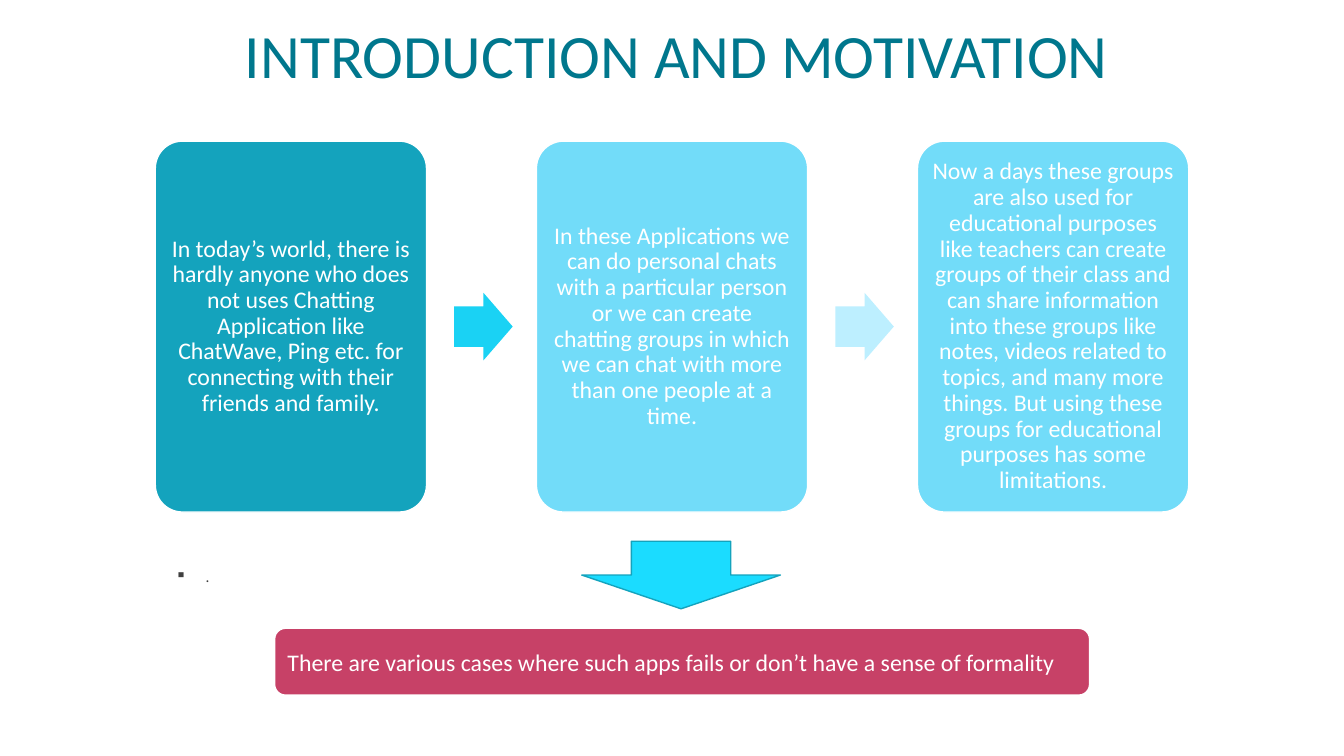
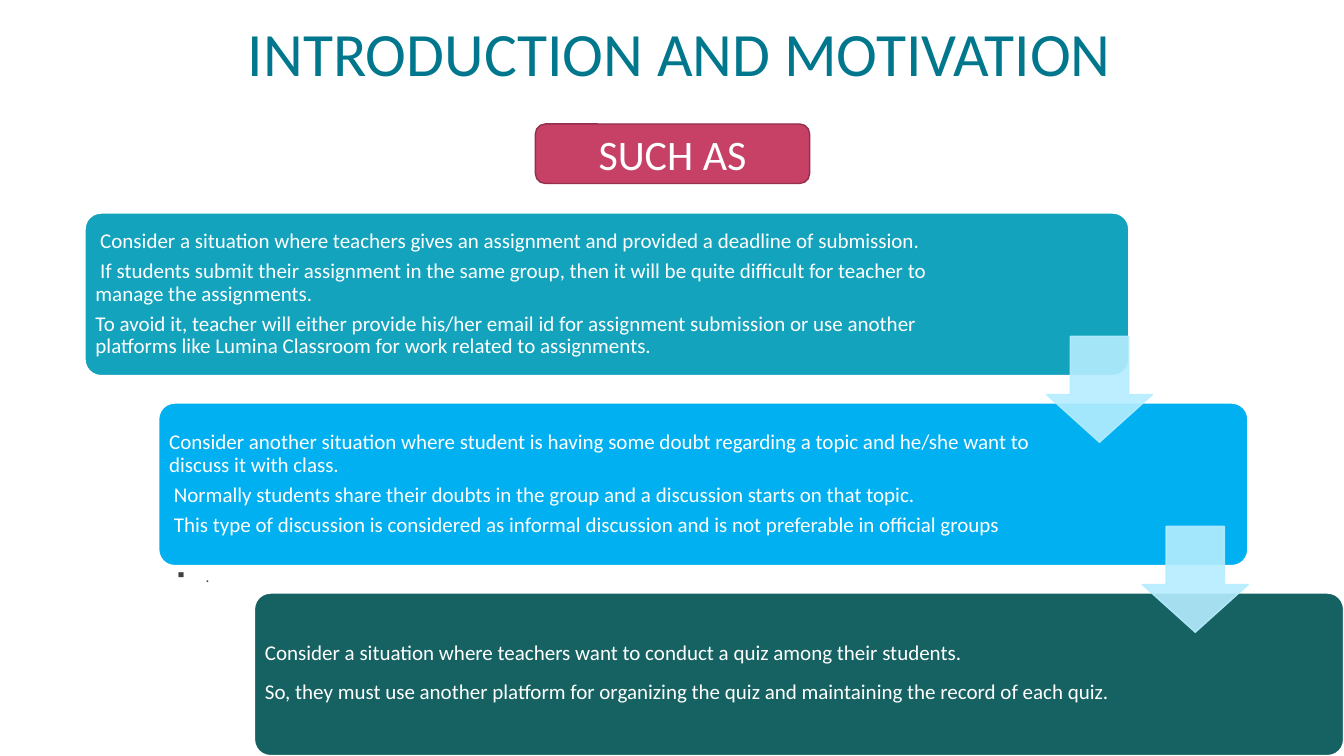
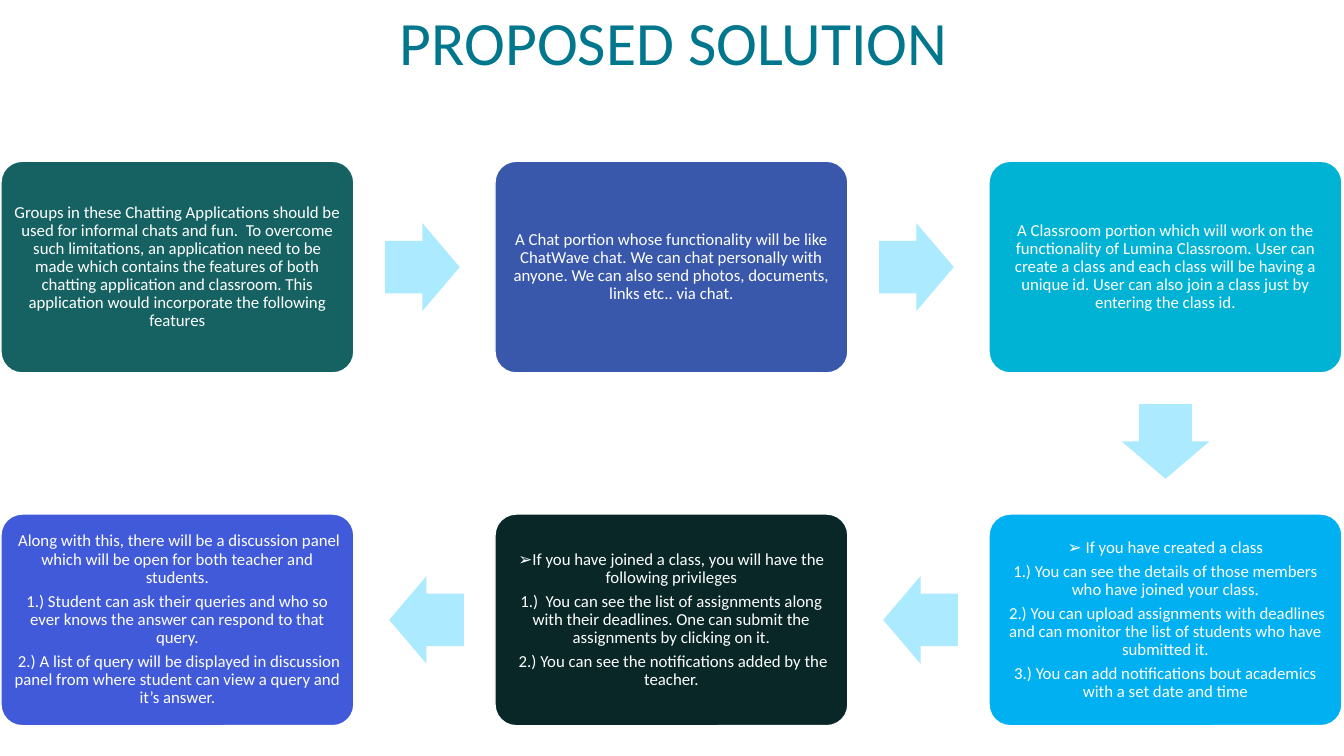
from math import atan2, degrees

from lxml import etree
from pptx import Presentation
from pptx.dml.color import RGBColor
from pptx.enum.shapes import MSO_SHAPE
from pptx.enum.text import MSO_ANCHOR, PP_ALIGN
from pptx.oxml.ns import qn
from pptx.util import Inches, Pt

ROUND = MSO_SHAPE.ROUNDED_RECTANGLE
RIGHT = MSO_SHAPE.RIGHT_ARROW
DOWN = MSO_SHAPE.DOWN_ARROW
LEFT, CENTER = PP_ALIGN.LEFT, PP_ALIGN.CENTER
MIDDLE, BOTTOM = MSO_ANCHOR.MIDDLE, MSO_ANCHOR.BOTTOM


class Theme:
    font = "Calibri"
    title, ink, white = "00778D", "404040", "FFFFFF"
    teal, pine, night = "14A3BD", "166262", "092727"
    sky, azure, sea = "72DCF9", "00B0F0", "00B3D4"
    navy, violet = "3958AC", "415AD9"
    rose, wine = "C74167", "93304C"
    cyan, aqua = "1AD2F4", "1BDCFF"
    pale, mist, ice = "BDEFFF", "B5EDFF", "ACEBFF"
    title_size, label_size, card_size = 44, 30, 17
    step_size, flow_size, dot_size, tail_size = 15, 12, 11, 23


WIDTH, HEIGHT = 13.33, 7.5
INTRO = "INTRODUCTION AND MOTIVATION"

REASONS = [
    (Theme.teal, "In today’s world, there is hardly anyone who does not uses Chatting "
     "Application like ChatWave, Ping etc. for connecting with their friends and family."),
    (Theme.sky, "In these Applications we can do personal chats with a particular person "
     "or we can create chatting groups in which we can chat with more than one people "
     "at a time."),
    (Theme.sky, "Now a days these groups are also used for educational purposes like "
     "teachers can create groups of their class and can share information into these "
     "groups like notes, videos related to topics, and many more things. But using these "
     "groups for educational purposes has some limitations."),
]
VERDICT = "There are various cases where such apps fails or don’t have a sense of formality"

# left, width, right margin, fill, paragraphs
CASES = [
    (0.84, 10.36, 1.64, Theme.teal, [
        " Consider a situation where teachers gives an assignment and provided a deadline "
        "of submission.",
        " If students submit their assignment in the same group, then it will be quite "
        "difficult for teacher to manage the assignments.",
        "To avoid it, teacher will either provide his/her email id for assignment "
        "submission or use another platforms like Lumina Classroom for work related to "
        "assignments."]),
    (1.57, 10.81, 2.06, Theme.azure, [
        "Consider another situation where student is having some doubt regarding a topic "
        "and he/she want to discuss it with class.",
        " Normally students share their doubts in the group and a discussion starts on "
        "that topic.",
        " This type of discussion is considered as informal discussion and is not "
        "preferable in official groups"]),
    (2.52, 10.81, 2.06, Theme.pine, [
        "Consider a situation where teachers want to conduct a quiz among their students.",
        [("So, they must use another platform for organizing the quiz and maintaining the "
          "record of each quiz.", Theme.step_size), (" ", Theme.tail_size)]]),
]
DROPS = [10.38, 11.33]

# column, row, fill, paragraphs
FLOW = [
    (0, 0, Theme.pine, [
        "Groups in these Chatting Applications should be used for informal chats and fun.  "
        "To overcome such limitations, an application need to be made which contains the "
        "features of both chatting application and classroom. This application would "
        "incorporate the following features"]),
    (1, 0, Theme.navy, [
        "A Chat portion whose functionality will be like ChatWave chat. We can chat "
        "personally with anyone. We can also send photos, documents, links etc.. via chat."]),
    (2, 0, Theme.sea, [
        "A Classroom portion which will work on the functionality of Lumina Classroom. "
        "User can create a class and each class will be having a unique id. User can also "
        "join a class just by entering the class id."]),
    (2, 1, Theme.azure, [
        "➢ If you have created a class",
        "1.) You can see the details of those members who have joined your class.",
        " 2.) You can upload assignments with deadlines and can monitor the list of "
        "students who have submitted it.",
        "3.) You can add notifications bout academics with a set date and time"]),
    (1, 1, Theme.night, [
        "➢If you have joined a class, you will have the following privileges",
        "1.)  You can see the list of assignments along with their deadlines. One can "
        "submit the assignments by clicking on it.",
        " 2.) You can see the notifications added by the teacher."]),
    (0, 1, Theme.violet, [
        " Along with this, there will be a discussion panel which will be open for both "
        "teacher and students.",
        "1.) Student can ask their queries and who so ever knows the answer can respond "
        "to that query.",
        " 2.) A list of query will be displayed in discussion panel from where student "
        "can view a query and it’s answer."]),
]


def rgb(color):
    return RGBColor.from_string(color)


def write(shape, lines, size, color=Theme.white, align=LEFT, anchor=MIDDLE,
          pad=None, right=None, spacing=None, after=0):
    """Fill a shape with paragraphs; a line is a string or a list of (text, size) runs."""
    frame = shape.text_frame
    frame.word_wrap = True
    frame.vertical_anchor = anchor
    if pad is not None:
        frame.margin_left = frame.margin_top = frame.margin_bottom = Inches(pad)
        frame.margin_right = Inches(pad if right is None else right)
    for i, line in enumerate(lines):
        para = frame.add_paragraph() if i else frame.paragraphs[0]
        para.alignment = align
        para.space_after = Pt(after)
        if spacing:
            para.line_spacing = spacing
        for text, points in ([(line, size)] if isinstance(line, str) else line):
            run = para.add_run()
            run.text = text
            run.font.name = Theme.font
            run.font.size = Pt(points)
            run.font.color.rgb = rgb(color)


def draw(slide, kind, box, fill, line=None, weight=1, adjust=()):
    shape = slide.shapes.add_shape(kind, *map(Inches, box))
    shape.shadow.inherit = False
    shape.fill.solid()
    shape.fill.fore_color.rgb = rgb(fill)
    if line:
        shape.line.color.rgb = rgb(line)
        shape.line.width = Pt(weight)
    else:
        shape.line.fill.background()
    for i, value in enumerate(adjust):
        shape.adjustments[i] = value
    return shape


def card(slide, box, fill, lines, size, pad, weight=1, align=CENTER, right=None):
    shape = draw(slide, ROUND, box, fill, Theme.white, weight, [0.1])
    write(shape, lines, size, align=align, pad=pad, right=right,
          spacing=0.9, after=round(size * 0.35, 2))


def arrows(slide, boxes, size, lead, fills):
    """Link each box to the next, each arrow moved by lead along its own way."""
    wide, high = size
    for a, b, fill in zip(boxes, boxes[1:], fills):
        dx, dy = b[0] - a[0], b[1] - a[1]
        span = abs(dx) + abs(dy)
        x = (a[0] + b[0] + a[2]) / 2 + lead * dx / span
        y = (a[1] + b[1] + a[3]) / 2 + lead * dy / span
        arrow = draw(slide, RIGHT, (x - wide / 2, y - high / 2, wide, high), fill,
                     adjust=[0.6, 0.5])
        arrow.rotation = degrees(atan2(dy, dx)) % 360


def fade(shape, percent):
    for color in shape.fill._xPr.iter(qn("a:srgbClr")):
        etree.SubElement(color, qn("a:alpha")).set("val", str(percent * 1000))


def start(deck, title, box, align=LEFT):
    slide = deck.slides.add_slide(deck.slide_layouts[6])
    area = slide.shapes.add_textbox(*map(Inches, box))
    write(area, [title], Theme.title_size, Theme.title, align, BOTTOM, spacing=0.85)
    return slide


def dot(slide):
    """The small bulleted full stop at the lower left."""
    area = slide.shapes.add_textbox(*map(Inches, (1.64, 5.6, 10.25, 0.4)))
    props = area.text_frame.paragraphs[0]._p.get_or_add_pPr()
    props.set("marL", str(Inches(0.3)))
    props.set("indent", str(-Inches(0.3)))
    etree.SubElement(props, qn("a:buChar")).set("char", "▪")
    write(area, ["."], Theme.dot_size, Theme.ink, anchor=MSO_ANCHOR.TOP, spacing=0.9)


def reasons(deck):
    slide = start(deck, INTRO, (2.33, 0.11, 8.87, 0.84))
    dot(slide)
    boxes = [(1.54 + 3.78 * i, 1.4, 2.69, 3.68) for i in range(len(REASONS))]
    for box, (fill, text) in zip(boxes, REASONS):
        card(slide, box, fill, [text], Theme.card_size, 0.07)
    arrows(slide, boxes, (0.58, 0.67), 0.02, [Theme.cyan, Theme.pale])
    banner = draw(slide, ROUND, (2.72, 6.23, 8.09, 0.67), Theme.rose, Theme.white, 1.5)
    write(banner, [VERDICT], Theme.card_size)
    draw(slide, DOWN, (5.77, 5.37, 1.97, 0.67), Theme.aqua, Theme.teal)


def cases(deck):
    slide = start(deck, INTRO, (2.36, 0.09, 8.81, 0.84))
    dot(slide)
    top, high, side = 2.11, 1.62, 1.05
    pitch = (HEIGHT - high - top) / (len(CASES) - 1)
    for i, (left, wide, right, fill, lines) in enumerate(CASES):
        card(slide, (left, top + pitch * i, wide, high), fill, lines, Theme.step_size,
             0.06, 1.5, LEFT, right)
    for i, left in enumerate(DROPS):
        middle = top + pitch * i + (pitch + high) / 2
        arrow = draw(slide, DOWN, (left, middle - side / 2, side, side), Theme.mist,
                     Theme.mist, adjust=[0.55, 0.45])
        fade(arrow, 90)
    label = draw(slide, ROUND, (5.31, 1.23, 2.72, 0.59), Theme.rose, Theme.wine)
    write(label, ["SUCH AS"], Theme.label_size, align=CENTER)


def flow(deck):
    slide = start(deck, "PROPOSED SOLUTION", (1.56, 0, 10.25, 0.82), CENTER)
    boxes = [(0.01 + 4.9 * col, 1.6 + 3.5 * row, 3.5, 2.1) for col, row, *_ in FLOW]
    for box, (_, _, fill, lines) in zip(boxes, FLOW):
        card(slide, box, fill, lines, Theme.flow_size, 0.05)
    arrows(slide, boxes, (0.74, 0.87), -0.02, [Theme.ice] * (len(FLOW) - 1))


def main():
    deck = Presentation()
    deck.slide_width, deck.slide_height = Inches(WIDTH), Inches(HEIGHT)
    for build in (reasons, cases, flow):
        build(deck)
    deck.save("out.pptx")


if __name__ == "__main__":
    main()
